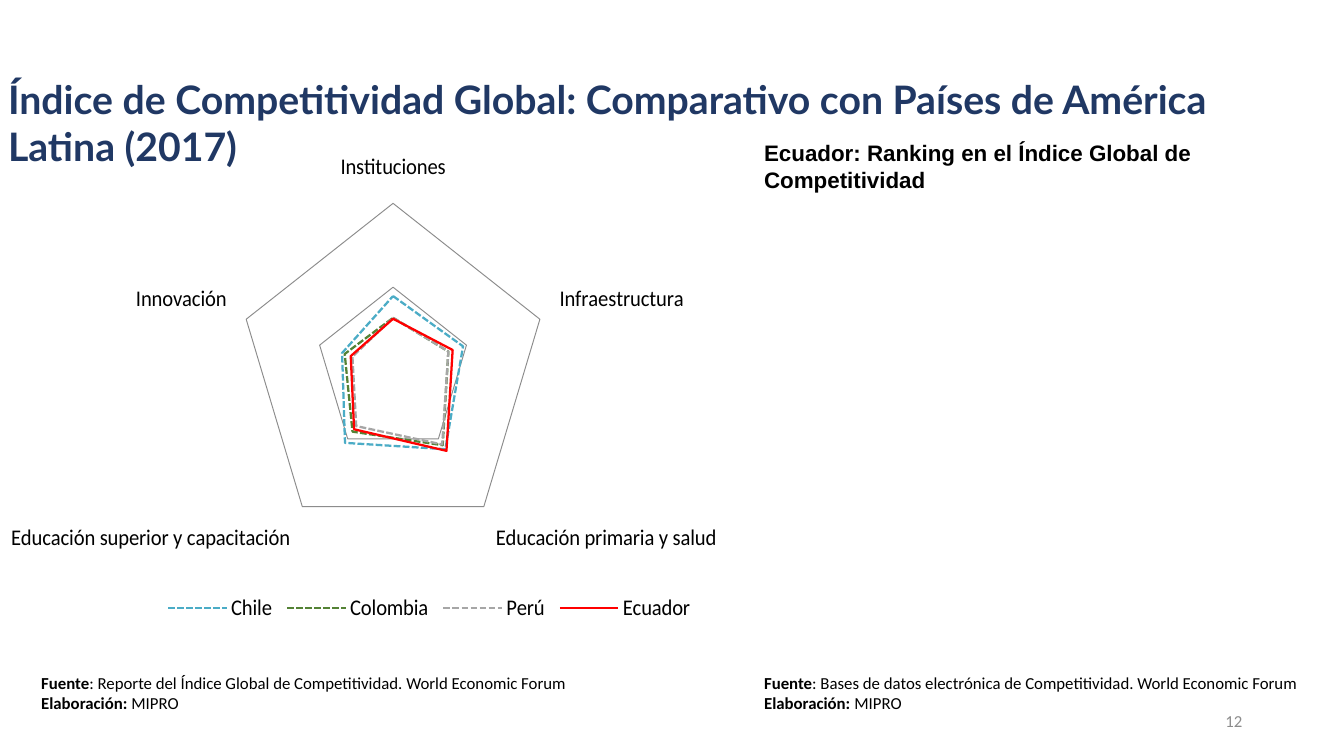
from lxml import etree
from pptx import Presentation
from pptx.chart.data import CategoryChartData
from pptx.dml.color import RGBColor
from pptx.enum.chart import XL_CHART_TYPE, XL_LEGEND_POSITION
from pptx.enum.dml import MSO_LINE
from pptx.enum.text import MSO_ANCHOR, PP_ALIGN
from pptx.oxml.ns import qn
from pptx.util import Inches, Pt

RADAR = XL_CHART_TYPE.RADAR
LEGEND_RIGHT = XL_LEGEND_POSITION.RIGHT
DASH, SOLID = MSO_LINE.SQUARE_DOT, MSO_LINE.SOLID
TOP, MIDDLE = MSO_ANCHOR.TOP, MSO_ANCHOR.MIDDLE
LEFT, RIGHT = PP_ALIGN.LEFT, PP_ALIGN.RIGHT

WIDTH, HEIGHT = 13.33, 7.5
LEFT_COL, RIGHT_COL, COL_W = 0.31, 7.48, 5.69
CONTENT_Y, SOURCE_Y = 1.33, 6.62

COLORS = {
    "title": "203864", "text": "000000", "page": "8C8C8C", "grid": "8C8C8C",
    "chile": "4BACC6", "colombia": "548235", "peru": "A6A6A6", "ecuador": "FF0000",
}

PILLARS = ["Instituciones", "Infraestructura", "Educación primaria y salud",
           "Educación superior y capacitación", "Innovación"]
COUNTRIES = [
    ("Chile", (76, 81, 98, 90, 59), "chile", DASH),
    ("Colombia", (54, 64, 93, 76, 56), "colombia", DASH),
    ("Perú", (54, 64, 92, 69, 47), "peru", DASH),
    ("Ecuador", (53, 69, 100, 73, 49), "ecuador", SOLID),
]


def rgb(name):
    return RGBColor.from_string(COLORS[name])


def add_text(s, box, paragraphs, size=12, font="Calibri", color="text",
             align=LEFT, anchor=TOP, inset=0.1):
    """Each paragraph is a list of (text, bold) runs."""
    tf = s.shapes.add_textbox(*map(Inches, box)).text_frame
    tf.word_wrap = True
    tf.vertical_anchor = anchor
    tf.margin_left = tf.margin_right = Inches(inset)
    tf.margin_top = tf.margin_bottom = Inches(inset / 2)
    for i, runs in enumerate(paragraphs):
        p = tf.add_paragraph() if i else tf.paragraphs[0]
        p.alignment = align
        for text, bold in runs:
            r = p.add_run()
            r.text = text
            r.font.size, r.font.name, r.font.bold = Pt(size), font, bold
            r.font.color.rgb = rgb(color)


def add_source(s, x, source):
    add_text(s, (x, SOURCE_Y, COL_W, 0.5), [
        [("Fuente", True), (f": {source}. World Economic Forum", False)],
        [("Elaboración: ", True), ("MIPRO", False)],
    ])


def set_layout(parent, x, y, w, h, inner=False):
    """Place a chart part by shares of the chart's size."""
    layout = parent.find(qn("c:layout"))
    if layout is None:
        layout = etree.Element(qn("c:layout"))
        before = parent.find(qn("c:legendPos"))
        if before is None:
            parent.insert(0, layout)
        else:
            before.addnext(layout)
    manual = etree.SubElement(layout, qn("c:manualLayout"))
    fields = [("layoutTarget", "inner")] if inner else []
    fields += [("xMode", "edge"), ("yMode", "edge"),
               ("x", x), ("y", y), ("w", w), ("h", h)]
    for tag, value in fields:
        etree.SubElement(manual, qn(f"c:{tag}")).set("val", str(value))


def add_radar(s, box):
    data = CategoryChartData(number_format="General")
    data.categories = PILLARS
    for name, values, _, _ in COUNTRIES:
        data.add_series(name, values)
    chart = s.shapes.add_chart(RADAR, *map(Inches, box), data).chart
    chart.has_title = False
    chart.font.size, chart.font.name = Pt(16), "Calibri"
    chart.font.color.rgb = rgb("text")

    # Country lines
    for series, (_, _, color, dash) in zip(chart.plots[0].series, COUNTRIES):
        series.smooth = False
        line = series.format.line
        line.color.rgb, line.width, line.dash_style = rgb(color), Pt(1.75), dash

    # Rings
    axis = chart.value_axis
    axis.minimum_scale, axis.maximum_scale, axis.major_unit = 0, 170, 85
    axis.has_major_gridlines = True
    grid = axis.major_gridlines.format.line
    grid.color.rgb, grid.width = rgb("grid"), Pt(0.75)
    axis.tick_labels.number_format = "0.00"
    axis.tick_labels.number_format_is_linked = False
    axis.visible = False

    # Legend below the plot
    chart.has_legend = True
    chart.legend.position = LEGEND_RIGHT
    chart.legend.include_in_layout = False
    plot_area = chart.value_axis._element.getparent()
    set_layout(plot_area, 0.26, 0.14, 0.47, 0.68, inner=True)
    set_layout(chart.legend._element, 0.14, 0.92, 0.82, 0.08)


def main():
    prs = Presentation()
    prs.slide_width, prs.slide_height = Inches(WIDTH), Inches(HEIGHT)
    s = prs.slides.add_slide(prs.slide_layouts[6])

    # Title
    add_text(s, (0, 0.71, 12.08, 0.55),
             [[("Índice de Competitividad Global: Comparativo con Países "
                "de América Latina (2017)", True)]],
             size=28, font="Lato", color="title", inset=0.08)

    # Left column: radar and its source
    add_radar(s, (0.11, CONTENT_Y, 7.08, 4.9))
    add_source(s, LEFT_COL, "Reporte del Índice Global de Competitividad")

    # Right column: heading and its source
    add_text(s, (RIGHT_COL, CONTENT_Y, COL_W, 0.64),
             [[("Ecuador: Ranking en el Índice Global de Competitividad", True)]],
             size=16, font="Arial")
    add_source(s, RIGHT_COL, "Bases de datos electrónica de Competitividad")

    # Page number
    add_text(s, (9.42, 6.95, 3, 0.4), [[("12", False)]], color="page",
             align=RIGHT, anchor=MIDDLE)
    prs.save("out.pptx")


if __name__ == "__main__":
    main()
